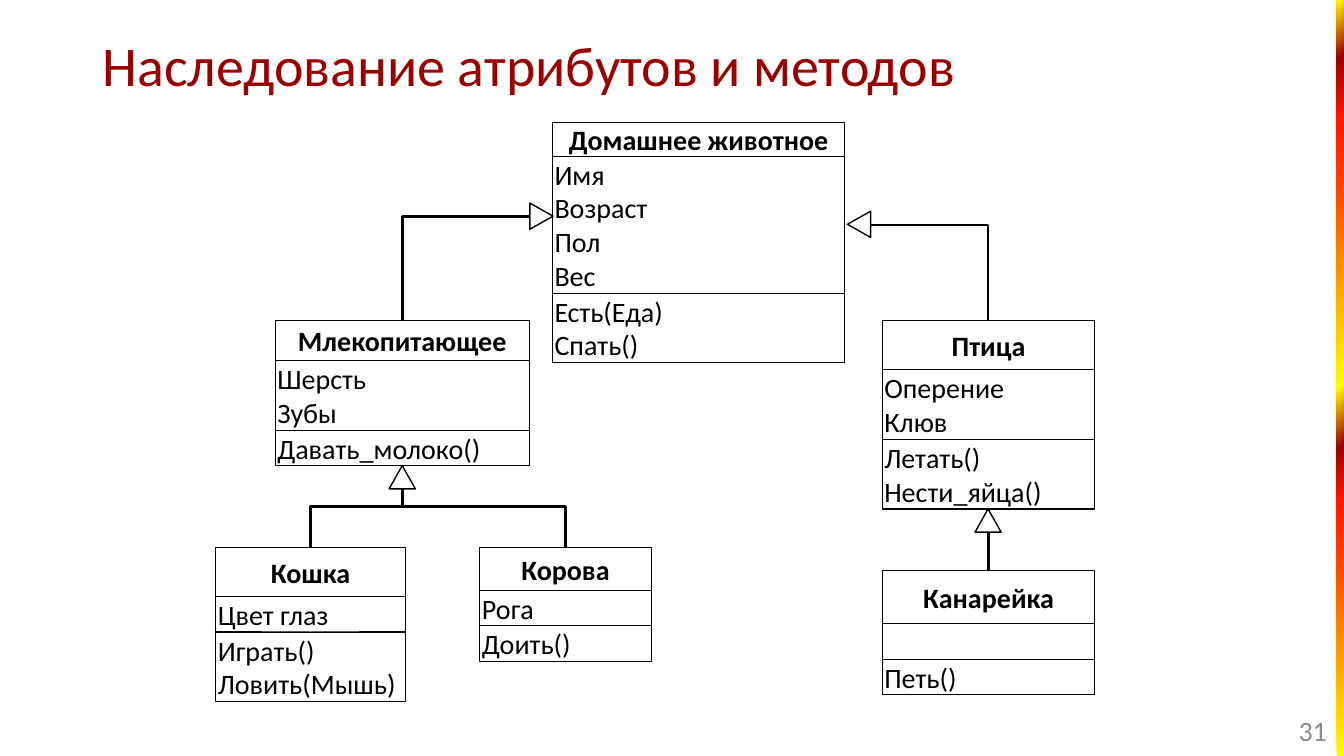
"""Build a slide with a UML class diagram of inherited attributes and methods."""
from dataclasses import dataclass

from lxml.etree import SubElement
from pptx import Presentation
from pptx.dml.color import RGBColor
from pptx.enum.shapes import MSO_CONNECTOR as CONN, MSO_SHAPE as SHAPE
from pptx.enum.text import MSO_ANCHOR as ANCHOR, MSO_AUTO_SIZE as FIT, PP_ALIGN as ALIGN
from pptx.oxml.ns import qn
from pptx.util import Pt

PX = 9144


@dataclass(frozen=True)
class Theme:
    font: str = "Calibri"
    title: str = "990000"
    ink: str = "000000"
    paper: str = "FFFFFF"
    muted: str = "8C8C8C"
    title_size: int = 40
    body_size: int = 20
    border: float = 0.75
    triangle_border: float = 1
    thin: float = 1.5
    thick: float = 2.25
    strip: tuple = (
        (0, "FFFF00"), (27, "FF3D00"), (34, "FF1900"), (41, "990000"), (49, "FFFF00"),
        (76, "FF3D00"), (84, "FF1900"), (92, "990000"), (100, "FFFF00"),
    )


THEME = Theme()


@dataclass(frozen=True)
class ClassBox:
    name: str
    left: int
    top: int
    width: int
    head: int
    attributes: tuple = ()
    methods: tuple = ()

    @property
    def center(self) -> int:
        return self.left + self.width // 2

    @property
    def bottom(self) -> int:
        return self.top + self.head + rows_height(self.attributes) + rows_height(self.methods)


@dataclass(frozen=True)
class Triangle:
    left: int
    top: int
    rotation: int = 0


ANIMAL = ClassBox("Домашнее животное", 548, 122, 290, 33,
                  ("Имя", "Возраст", "Пол", "Вес"), ("Есть(Еда)", "Спать()"))
MAMMAL = ClassBox("Млекопитающее", 273, 318, 252, 40, ("Шерсть", "Зубы"), ("Давать_молоко()",))
BIRD = ClassBox("Птица", 875, 318, 211, 49, ("Оперение", "Клюв"), ("Летать()", "Нести_яйца()"))
CAT = ClassBox("Кошка", 214, 543, 188, 49, ("Цвет глаз",), ("Играть()", "Ловить(Мышь)"))
COW = ClassBox("Корова", 476, 543, 170, 43, ("Рога",), ("Доить()",))
CANARY = ClassBox("Канарейка", 875, 566, 211, 53, (), ("Петь()",))
CLASSES = (ANIMAL, MAMMAL, BIRD, CAT, COW, CANARY)


def rows_height(rows: tuple) -> int:
    """Return the height of a compartment in px."""
    return round(33.6 * max(1, len(rows)) + 1.5)


def rgb(color: str) -> RGBColor:
    """Turn a hex string into a colour."""
    return RGBColor.from_string(color)


def write(sp, lines, *, size=THEME.body_size, color=THEME.ink, bold=False,
          align=ALIGN.LEFT, anchor=ANCHOR.MIDDLE, spacing=None, insets=None, fit=FIT.NONE):
    """Fill a shape with formatted paragraphs."""
    tf = sp.text_frame
    tf.word_wrap, tf.auto_size, tf.vertical_anchor = True, fit, anchor
    if insets:
        tf.margin_left, tf.margin_top, tf.margin_right, tf.margin_bottom = (v * PX for v in insets)
    for i, line in enumerate(lines):
        p = tf.add_paragraph() if i else tf.paragraphs[0]
        p.alignment = align
        if spacing:
            p.line_spacing = spacing
        r = p.add_run()
        r.text = line
        r.font.name, r.font.size, r.font.bold = THEME.font, Pt(size), bold
        r.font.color.rgb = rgb(color)


def add_text(slide, left: int, top: int, width: int, height: int, text: str, **fmt):
    """Add a text box."""
    write(slide.shapes.add_textbox(left * PX, top * PX, width * PX, height * PX), [text], **fmt)


def add_outlined(slide, kind, left: int, top: int, width: int, height: int, border: float):
    """Add a white shape with a black outline."""
    sp = slide.shapes.add_shape(kind, left * PX, top * PX, width * PX, height * PX)
    sp.shadow.inherit = False
    sp.fill.solid()
    sp.fill.fore_color.rgb = rgb(THEME.paper)
    sp.line.color.rgb = rgb(THEME.ink)
    sp.line.width = Pt(border)
    return sp


def add_class(slide, box: ClassBox) -> tuple:
    """Draw a class and return its first and last compartments."""
    def compartment(top: int, height: int):
        return add_outlined(slide, SHAPE.RECTANGLE, box.left, top, box.width, height, THEME.border)

    head = compartment(box.top, box.head)
    write(head, [box.name], bold=True, align=ALIGN.CENTER, insets=(2, 0, 2, 0))
    top = box.top + box.head
    for rows in (box.attributes, box.methods):
        sp = compartment(top, rows_height(rows))
        if rows:
            write(sp, rows, anchor=ANCHOR.TOP, insets=(2, 1, 2, 0), fit=FIT.SHAPE_TO_FIT_TEXT)
        top += rows_height(rows)
    return head, sp


def add_triangle(slide, mark: Triangle):
    """Draw an inheritance arrowhead."""
    sp = add_outlined(slide, SHAPE.ISOSCELES_TRIANGLE, mark.left, mark.top, 26, 23,
                      THEME.triangle_border)
    sp.rotation = mark.rotation
    return sp


def add_link(slide, kind, start, end, site: int, width: float):
    """Join the top of one shape to a site of another."""
    c = slide.shapes.add_connector(kind, 0, 0, 0, 0)
    c.begin_connect(start, 0)
    c.end_connect(end, site)
    c.line.color.rgb = rgb(THEME.ink)
    c.line.width = Pt(width)
    SubElement(c._element.spPr, qn("a:effectLst"))
    return c


def add_elbow(slide, child: ClassBox, start, end, site: int, x: int, y: int,
              preset: str, width: float):
    """Draw a bent link that leaves the child upwards and ends at x, y."""
    c = add_link(slide, CONN.ELBOW, start, end, site, width)
    dx, dy = abs(x - child.center), abs(y - child.top)
    c.left, c.top = (child.center + x - dy) * PX // 2, (child.top + y - dx) * PX // 2
    c.width, c.height = dy * PX, dx * PX
    rightward = x > child.center
    xfrm = c._element.spPr.find(qn("a:xfrm"))
    xfrm.set("rot", str((90 if rightward else 270) * 60000))
    xfrm.set("flipH", "1" if rightward else "0")
    xfrm.set("flipV", "1")
    c._element.spPr.find(qn("a:prstGeom")).set("prst", preset)


def add_strip(slide):
    """Draw the gradient strip on the right edge."""
    sp = slide.shapes.add_shape(SHAPE.RECTANGLE, 1326 * PX, 0, 7 * PX, 750 * PX)
    sp.shadow.inherit = False
    sp.line.fill.background()
    sp.fill.gradient()
    sp.fill.gradient_angle = 135
    stops = sp._element.spPr.find(qn("a:gradFill")).find(qn("a:gsLst"))
    for stop in list(stops):
        stops.remove(stop)
    for pos, color in THEME.strip:
        stop = SubElement(stops, qn("a:gs"), pos=str(pos * 1000))
        SubElement(stop, qn("a:srgbClr"), val=color)


def main():
    """Build and save the slide."""
    prs = Presentation()
    prs.slide_width, prs.slide_height = 1333 * PX, 750 * PX
    slide = prs.slides.add_slide(prs.slide_layouts[6])
    add_strip(slide)
    add_text(slide, 92, 15, 1150, 106, "Наследование атрибутов и методов",
             size=THEME.title_size, color=THEME.title, spacing=0.9)
    add_text(slide, 1220, 705, 106, 40, "31", color=THEME.muted, align=ALIGN.RIGHT)

    parts = {box.name: add_class(slide, box) for box in CLASSES}
    for child, mark, x, y, width in (
        (BIRD, Triangle(839, 211, 270), 863, 223, THEME.thin),
        (MAMMAL, Triangle(524, 203, 90), 525, 215, THEME.thick),
    ):
        add_elbow(slide, child, parts[child.name][0], add_triangle(slide, mark), 3, x, y,
                  "bentConnector2", width)
    add_link(slide, CONN.STRAIGHT, parts[CANARY.name][0], parts[BIRD.name][1], 2, THEME.thick)
    for child in (CAT, COW):
        add_elbow(slide, child, parts[child.name][0], parts[MAMMAL.name][1], 2,
                  MAMMAL.center, MAMMAL.bottom, "bentConnector3", THEME.thick)
    for parent in (BIRD, MAMMAL):
        add_triangle(slide, Triangle(parent.center - 13, parent.bottom))
    prs.save("out.pptx")


if __name__ == "__main__":
    main()
